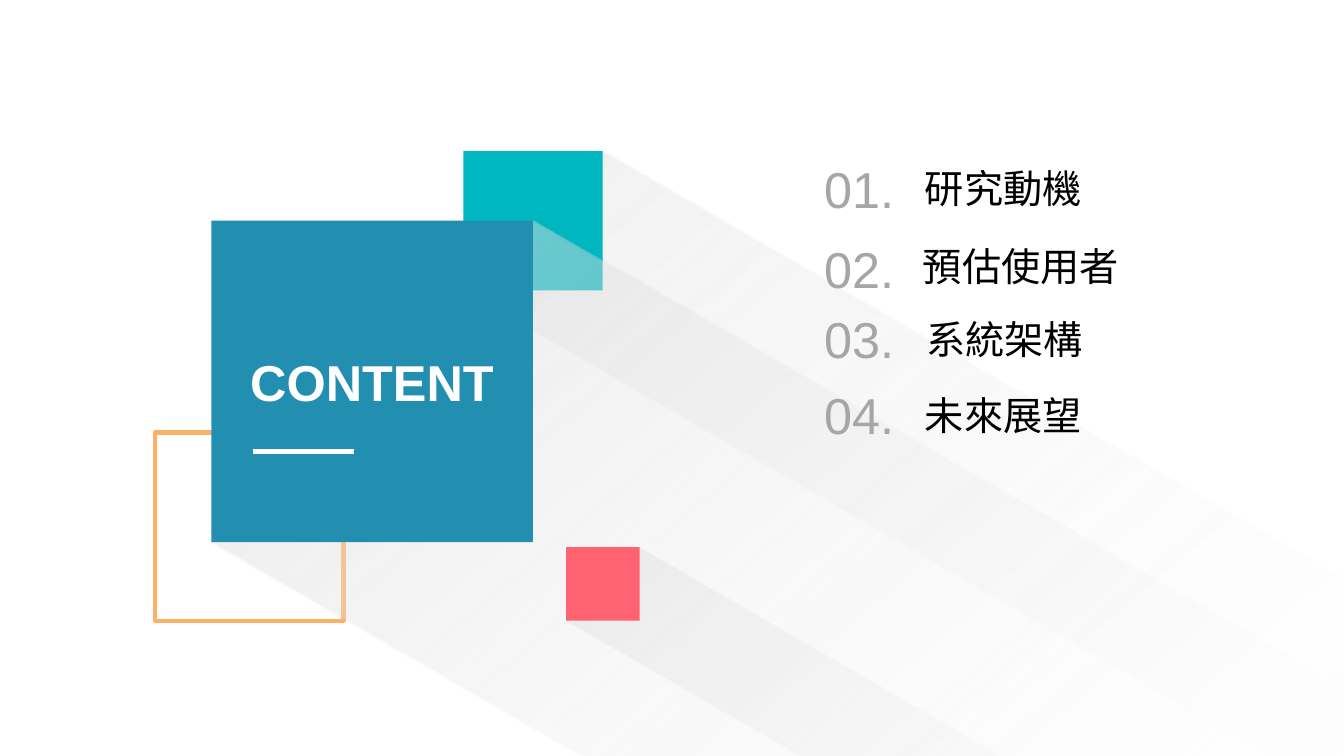
import math

import lxml.etree
import pptx
import pptx.dml.color
import pptx.enum.shapes
import pptx.enum.text
import pptx.oxml.ns
import pptx.util

Cm = pptx.util.Cm
COLORS = {
    "teal": "00B6BF", "blue": "228EB0", "coral": "FF6372", "orange": "FEB068",
    "white": "FFFFFF", "black": "000000", "number": "A6A6A6",
    "shade": "D9D9D9", "pale": "F2F2F2",
}
SHADOW_ANGLE = 30
GRADIENT_ANGLE = 20
AGENDA = [
    ("01.", "研究動機", 3.86, 2.54, 0.15),
    ("02.", "預估使用者", 5.87, 2.49, 0.10),
    ("03.", "系統架構", 7.65, 2.57, 0.18),
    ("04.", "未來展望", 9.55, 2.54, 0.18),
]


def rgb(color):
    return pptx.dml.color.RGBColor.from_string(COLORS[color])


def fill_fading(shadow, opacity):
    props = shadow._element.spPr
    ns = pptx.oxml.ns.qn
    gradient = lxml.etree.Element(ns("a:gradFill"), rotWithShape="1")
    stops = lxml.etree.SubElement(gradient, ns("a:gsLst"))
    for position, color, alpha in ((0, "shade", opacity), (85, "pale", 0), (100, "white", 0)):
        stop = lxml.etree.SubElement(stops, ns("a:gs"), pos=str(position * 1000))
        tone = lxml.etree.SubElement(stop, ns("a:srgbClr"), val=COLORS[color])
        lxml.etree.SubElement(tone, ns("a:alpha"), val=str(alpha * 1000))
    lxml.etree.SubElement(gradient, ns("a:lin"), ang=str(GRADIENT_ANGLE * 60000), scaled="0")
    props.find(ns("a:custGeom")).addnext(gradient)


def add_long_shadow(slide, left, top, side, reach, opacity):
    cos, sin = math.cos(math.radians(SHADOW_ANGLE)), math.sin(math.radians(SHADOW_ANGLE))
    half = side / 2
    inset, spread = half * (cos - sin), half * (cos + sin)
    end = reach - inset
    corners = [(-inset, spread), (inset, -spread), (end, -spread), (end, spread)]
    points = [(Cm(x), Cm(y)) for x, y in corners]
    builder = slide.shapes.build_freeform(*points[0])
    builder.add_line_segments(points[1:], close=True)
    shadow = builder.convert_to_shape()
    middle = reach / 2 - inset
    shadow.left = Cm(left + half + middle * cos) - shadow.width // 2
    shadow.top = Cm(top + half + middle * sin) - shadow.height // 2
    shadow.rotation = SHADOW_ANGLE
    shadow.shadow.inherit = False
    shadow.line.fill.background()
    fill_fading(shadow, opacity)


def add_square(slide, left, top, side, color=None, outline=None):
    square = slide.shapes.add_shape(
        pptx.enum.shapes.MSO_SHAPE.RECTANGLE, Cm(left), Cm(top), Cm(side), Cm(side))
    square.shadow.inherit = False
    if color:
        square.fill.solid()
        square.fill.fore_color.rgb = rgb(color)
    else:
        square.fill.background()
    if outline:
        square.line.color.rgb = rgb(outline)
        square.line.width = pptx.util.Pt(3)
    else:
        square.line.fill.background()


def add_shaded_square(slide, left, top, side, color, reach, opacity):
    add_long_shadow(slide, left, top, side, reach, opacity)
    add_square(slide, left, top, side, color)


def write(box, text, size, color, bold=False, align=pptx.enum.text.PP_ALIGN.LEFT):
    frame = box.text_frame
    frame.text = text
    frame.word_wrap = False
    frame.auto_size = pptx.enum.text.MSO_AUTO_SIZE.SHAPE_TO_FIT_TEXT
    frame.vertical_anchor = pptx.enum.text.MSO_ANCHOR.TOP
    paragraph = frame.paragraphs[0]
    paragraph.alignment = align
    font = paragraph.runs[0].font
    font.name = "Arial"
    font.size = pptx.util.Pt(size)
    font.bold = bold
    font.color.rgb = rgb(color)


def add_title_panel(slide, left, top, side):
    add_shaded_square(slide, left, top, side, "blue", 27.84, 60)
    title = slide.shapes.title
    title.left, title.top = Cm(left + 0.69), Cm(top + 3.15)
    title.width, title.height = Cm(6.71), Cm(1.8)
    write(title, "CONTENT", 36, "white", True, pptx.enum.text.PP_ALIGN.CENTER)
    slide.shapes._spTree.append(title._element)
    rule_left, rule_top = Cm(left + 1.04), Cm(top + 5.82)
    underline = slide.shapes.add_connector(
        pptx.enum.shapes.MSO_CONNECTOR.STRAIGHT,
        rule_left, rule_top, rule_left + Cm(2.54), rule_top)
    underline.line.color.rgb = rgb("white")
    underline.line.width = pptx.util.Pt(3)
    lxml.etree.SubElement(underline._element.spPr, pptx.oxml.ns.qn("a:effectLst"))


def add_agenda(slide, left):
    for number, topic, top, indent, drop in AGENDA:
        topic_box = slide.shapes.add_textbox(
            Cm(left + indent), Cm(top + drop), Cm(len(topic) + 0.5), Cm(1.45))
        write(topic_box, topic, 28, "black")
        number_box = slide.shapes.add_textbox(Cm(left), Cm(top), Cm(2.29), Cm(1.8))
        write(number_box, number, 36, "number")


def main():
    deck = pptx.Presentation()
    deck.slide_width, deck.slide_height = Cm(33.87), Cm(19.05)
    slide = deck.slides.add_slide(deck.slide_layouts[5])
    add_shaded_square(slide, 11.68, 3.81, 3.51, "teal", 30.2, 40)
    add_square(slide, 3.91, 10.9, 4.75, outline="orange")
    add_title_panel(slide, 5.33, 5.56, 8.1)
    add_shaded_square(slide, 14.27, 13.79, 1.85, "coral", 20.09, 40)
    add_agenda(slide, 20.52)
    deck.save("out.pptx")


if __name__ == "__main__":
    main()
